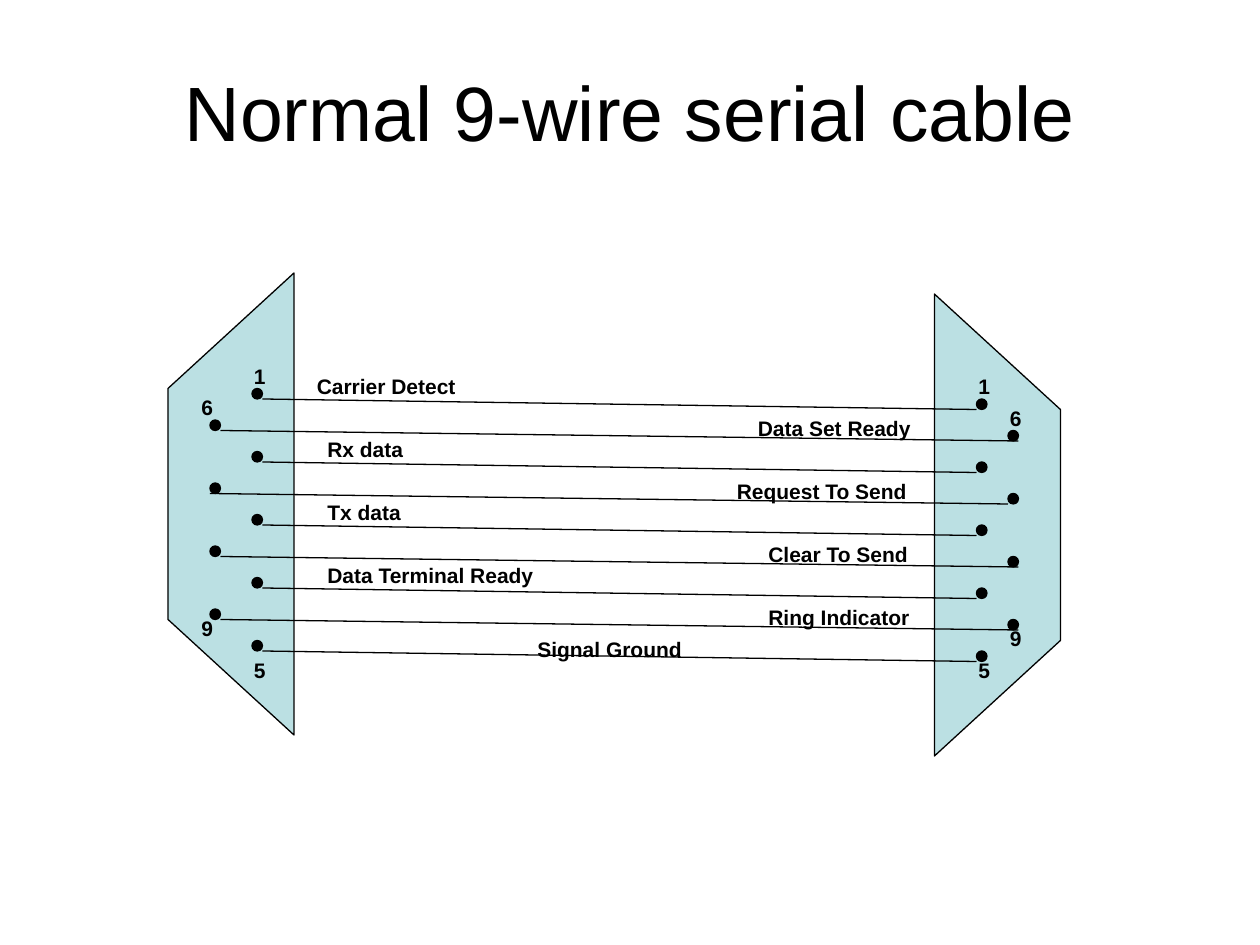
"""Build a slide showing how a normal 9-wire serial cable is wired."""
from pptx import Presentation
from pptx.dml.color import RGBColor
from pptx.enum.shapes import MSO_CONNECTOR, MSO_SHAPE
from pptx.enum.text import MSO_ANCHOR, MSO_AUTO_SIZE, PP_ALIGN
from pptx.oxml.xmlchemy import OxmlElement
from pptx.util import Cm, Pt

THEME = {
    "font": "Arial", "ink": RGBColor(0, 0, 0), "plug": RGBColor(0xBB, 0xE0, 0xE3),
    "title": Pt(44), "label": Pt(12), "line": Pt(0.75),
}
TITLE = "Normal 9-wire serial cable"
UNIT = 2.54 / 12
PITCH = 6
PLUGS = [
    [(28, 26), (28, 70), (16, 59), (16, 37)],
    [(89, 28), (89, 72), (101, 61), (101, 39)],
]
ROWS = [
    {"pins": 5, "left": (24, 37), "right": (93, 38), "ends": [(25, 93)] * 5},
    {"pins": 4, "left": (20, 40), "right": (96, 41),
     "ends": [(21, 97), (20, 96), (21, 97), (21, 97)]},
]
LABELS = [
    ("1", 23, 34, 0.75), ("6", 18, 37, 0.75), ("9", 18, 58, 0.75), ("5", 23, 62, 0.75),
    ("1", 92, 35, 0.75), ("6", 95, 38, 1.17), ("9", 95, 59, 0.75), ("5", 92, 62, 0.75),
    ("Carrier Detect", 29, 35, 3.4),
    ("Rx data", 30, 41, 2.1),
    ("Tx data", 30, 47, 2.1),
    ("Data Terminal Ready", 30, 53, 4.8),
    ("Signal Ground", 50, 60, 3.5),
    ("Data Set Ready", 71, 39, 3.7),
    ("Request To Send", 69, 45, 4.05),
    ("Clear To Send", 72, 51, 3.45),
    ("Ring Indicator", 72, 57, 3.45),
]


def grid(n):
    """Turn grid steps into a length."""
    return Cm(n * UNIT)


def paint(shape, fill):
    """Give a shape its fill and outline."""
    shape.shadow.inherit = False
    shape.fill.solid()
    shape.fill.fore_color.rgb = fill
    shape.line.color.rgb = THEME["ink"]
    shape.line.width = THEME["line"]


def style(text, size, bold=False):
    """Format the runs of a one-line text."""
    for run in text.paragraphs[0].runs:
        run.font.name = THEME["font"]
        run.font.size = size
        run.font.bold = bold
        run.font.color.rgb = THEME["ink"]


def add_title(slide):
    """Place and fill the title."""
    title = slide.shapes.title
    title.left, title.top, title.width, title.height = map(Cm, (1.27, 0.64, 22.86, 3.18))
    text = title.text_frame
    text.text = TITLE
    text.vertical_anchor = MSO_ANCHOR.MIDDLE
    text.paragraphs[0].alignment = PP_ALIGN.CENTER
    style(text, THEME["title"])


def add_plug(shapes, points):
    """Draw one connector shell."""
    first, *rest = [(grid(x), grid(y)) for x, y in points]
    pen = shapes.build_freeform(*first)
    pen.add_line_segments(rest, close=True)
    paint(pen.convert_to_shape(), THEME["plug"])


def add_pin(shapes, x, y):
    """Draw one pin."""
    dot = shapes.add_shape(MSO_SHAPE.OVAL, grid(x), grid(y), grid(1), grid(1))
    paint(dot, THEME["ink"])


def add_wire(shapes, start, end):
    """Draw one wire."""
    wire = shapes.add_connector(MSO_CONNECTOR.STRAIGHT, *map(grid, start + end))
    wire.line.color.rgb = THEME["ink"]
    wire.line.width = THEME["line"]
    wire._element.spPr.append(OxmlElement("a:effectLst"))


def add_label(shapes, words, x, y, width):
    """Write a pin number or a signal name."""
    text = shapes.add_textbox(grid(x), grid(y), Cm(width), Cm(0.76)).text_frame
    text.text = words
    text.word_wrap = True
    text.auto_size = MSO_AUTO_SIZE.SHAPE_TO_FIT_TEXT
    text.paragraphs[0].alignment = PP_ALIGN.LEFT
    style(text, THEME["label"], True)


def main():
    """Assemble and save the slide."""
    deck = Presentation()
    deck.slide_width, deck.slide_height = Cm(25.4), Cm(19.05)
    slide = deck.slides.add_slide(deck.slide_layouts[5])
    shapes = slide.shapes
    add_title(slide)
    for points in PLUGS:
        add_plug(shapes, points)
    for row in ROWS:
        for side in ("left", "right"):
            x, y = row[side]
            for i in range(row["pins"]):
                add_pin(shapes, x, y + i * PITCH)
    for row in ROWS:
        for i, (start, end) in enumerate(row["ends"]):
            drop = i * PITCH + 1
            add_wire(shapes, (start, row["left"][1] + drop), (end, row["right"][1] + drop))
    for label in LABELS:
        add_label(shapes, *label)
    deck.save("out.pptx")


if __name__ == "__main__":
    main()
